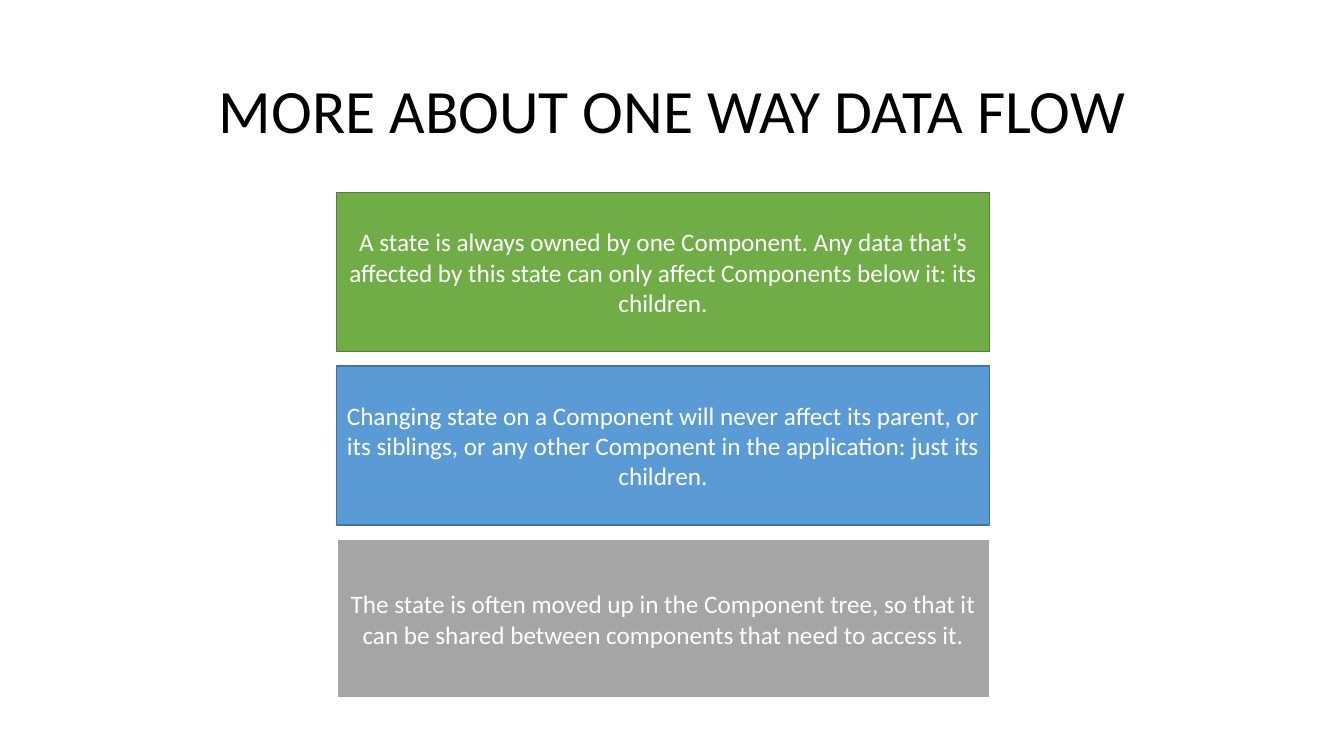
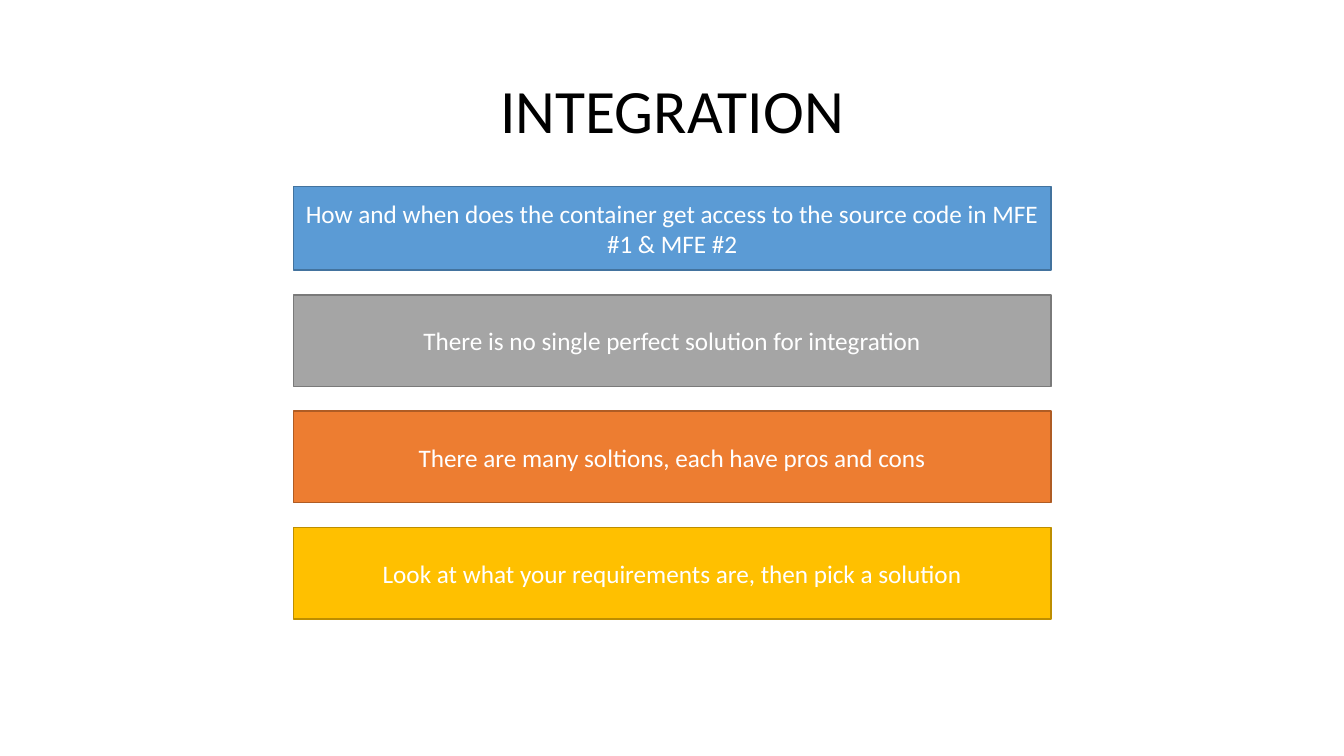
from pptx import Presentation
from pptx.dml.color import RGBColor
from pptx.enum.shapes import MSO_SHAPE
from pptx.enum.text import MSO_ANCHOR, PP_ALIGN
from pptx.util import Cm, Pt

RECTANGLE = MSO_SHAPE.RECTANGLE
MIDDLE = MSO_ANCHOR.MIDDLE
CENTER = PP_ALIGN.CENTER

FONT = "Calibri"
BLACK, WHITE = "000000", "FFFFFF"
BLANK_LAYOUT = 6

# Box styles: fill, line colour, line width in points
GREEN = ("70AD47", "538035", 1)
BLUE = ("5B9BD5", "43739E", 1)
GRAY = ("A5A5A5", "7A7A7A", 1)
GRAY_WHITE_EDGE = ("A5A5A5", WHITE, 1.5)
ORANGE = ("ED7D31", "AF5C24", 1)
GOLD = ("FFC000", "BD8E00", 1)

DATA_FLOW = [
    ("A state is always owned by one Component. Any data that’s affected by "
     "this state can only affect Components below it: its children.", GREEN, 4.01),
    ("Changing state on a Component will never affect its parent, or its siblings, "
     "or any other Component in the application: just its children.", BLUE, 4.01),
    ("The state is often moved up in the Component tree, so that it can be shared "
     "between components that need to access it.", GRAY_WHITE_EDGE, 4.01),
]
INTEGRATION = [
    ("How and when does the container get access to the source code in "
     "MFE #1 & MFE #2", BLUE, 2.11),
    ("There is no single perfect solution for integration", GRAY, 2.31),
    ("There are many soltions, each have pros and cons", ORANGE, 2.31),
    ("Look at what your requirements are, then pick a solution", GOLD, 2.31),
]


def color(value):
    return RGBColor.from_string(value)


def write_text(box, text, size=18, font_color=WHITE, line_spacing=1.0):
    frame = box.text_frame
    frame.word_wrap = True
    frame.vertical_anchor = MIDDLE
    para = frame.paragraphs[0]
    para.alignment = CENTER
    para.line_spacing = line_spacing
    span = para.add_run()
    span.text = text
    span.font.name = FONT
    span.font.size = Pt(size)
    span.font.color.rgb = color(font_color)


def add_page(deck, title):
    page = deck.slides.add_slide(deck.slide_layouts[BLANK_LAYOUT])
    box = page.shapes.add_textbox(Cm(2.34), Cm(1.02), Cm(29.21), Cm(3.68))
    write_text(box, title, size=44, font_color=BLACK, line_spacing=0.9)
    return page


def add_box(page, text, style, left, top, width, height):
    fill, line, line_width = style
    box = page.shapes.add_shape(RECTANGLE, Cm(left), Cm(top), Cm(width), Cm(height))
    box.shadow.inherit = False
    box.fill.solid()
    box.fill.fore_color.rgb = color(fill)
    box.line.color.rgb = color(line)
    box.line.width = Pt(line_width)
    write_text(box, text)


def add_stack(page, items, left, top, width, gap):
    """Place boxes one below another, separated by equal gaps."""
    for text, style, height in items:
        add_box(page, text, style, left, top, width, height)
        top += height + gap


def main():
    deck = Presentation()
    deck.slide_width, deck.slide_height = Cm(33.87), Cm(19.05)

    page = add_page(deck, "MORE ABOUT ONE WAY DATA FLOW")
    add_stack(page, DATA_FLOW, left=8.48, top=4.85, width=16.46, gap=0.36)

    page = add_page(deck, "INTEGRATION")
    add_stack(page, INTEGRATION, left=7.39, top=4.7, width=19.1, gap=0.62)

    deck.save("out.pptx")


if __name__ == "__main__":
    main()
